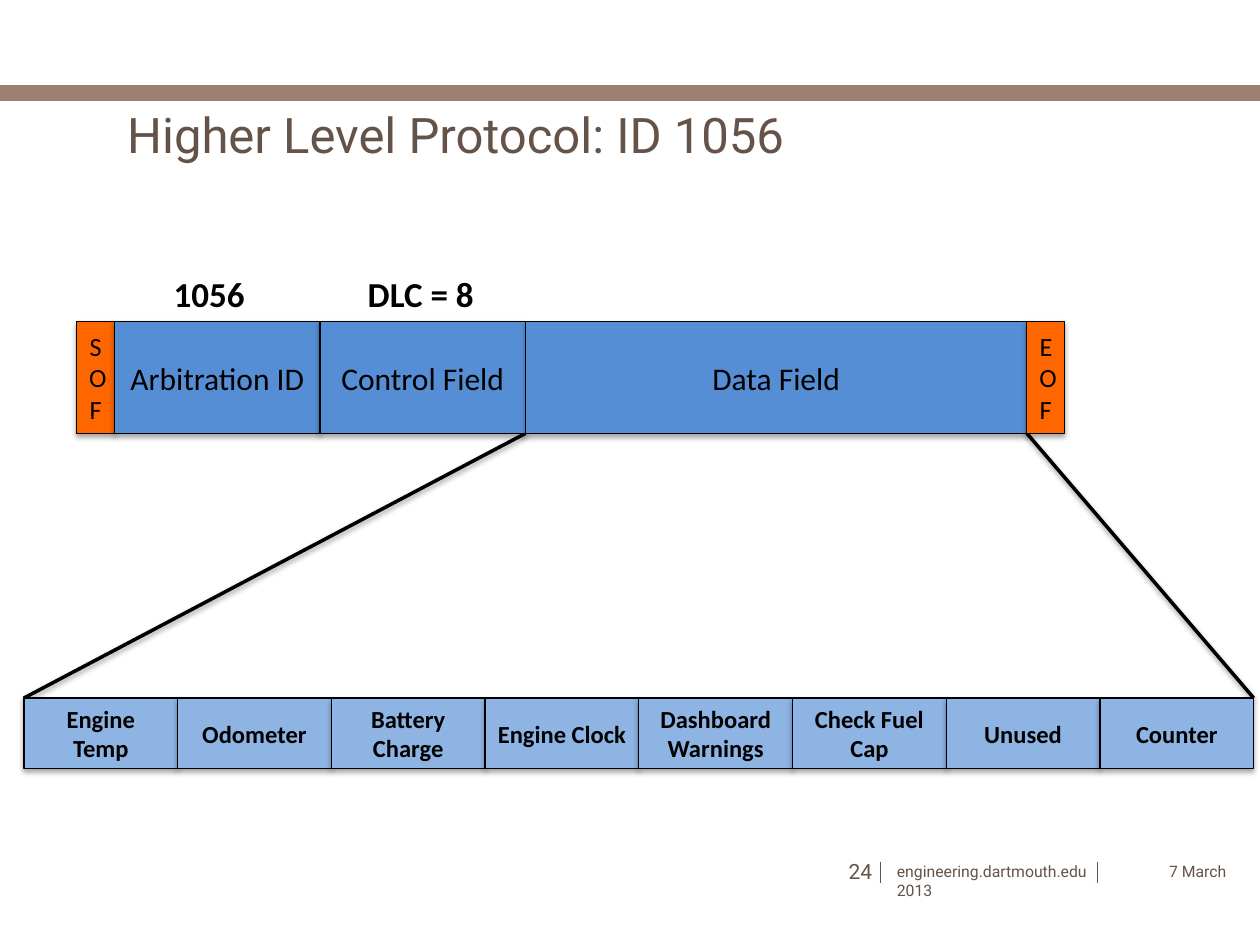
from lxml import etree
from pptx import Presentation
from pptx.dml.color import RGBColor
from pptx.enum.shapes import MSO_CONNECTOR, MSO_SHAPE
from pptx.enum.text import MSO_ANCHOR, PP_ALIGN
from pptx.oxml.ns import qn
from pptx.util import Inches, Pt

LEFT, CENTER, RIGHT = PP_ALIGN.LEFT, PP_ALIGN.CENTER, PP_ALIGN.RIGHT
TOP, MIDDLE = MSO_ANCHOR.TOP, MSO_ANCHOR.MIDDLE
RECT, STRAIGHT = MSO_SHAPE.RECTANGLE, MSO_CONNECTOR.STRAIGHT

BLACK, WHITE, BROWN, BAR = "000000", "FFFFFF", "645348", "9E8070"
ORANGE, BLUE, LIGHT_BLUE = "FF6600", "558ED5", "8EB4E3"


def rgb(value):
    return RGBColor.from_string(value)


def set_effects(sp, color=None, alpha=0, dist=0):
    """Give a finished shape or line a downward shadow, or none without a color."""
    effects = etree.SubElement(sp._element.spPr, qn("a:effectLst"))
    if color:
        shadow = etree.SubElement(
            effects, qn("a:outerShdw"), blurRad=str(Pt(3.1)), dist=str(Pt(dist)),
            dir="5400000", rotWithShape="0")
        clr = etree.SubElement(shadow, qn("a:srgbClr"), val=color)
        etree.SubElement(clr, qn("a:alpha"), val=str(alpha * 1000))


class Deck:
    body_font = "Calibri"
    theme_font = "Roboto"

    def __init__(self, prs):
        self.s = prs.slides.add_slide(prs.slide_layouts[5])

    def set_text(self, sp, text, size, font, color, bold=False, align=LEFT,
                 anchor=TOP, wrap=True):
        tf = sp.text_frame
        tf.word_wrap = wrap
        tf.vertical_anchor = anchor
        p = tf.paragraphs[0]
        p.text = text
        p.alignment = align
        p.font.size = Pt(size)
        p.font.name = font
        p.font.bold = bold
        p.font.color.rgb = rgb(color)
        return p

    def title(self, text, x, y, w, h):
        sp = self.s.shapes.title
        sp.left, sp.top, sp.width, sp.height = map(Inches, (x, y, w, h))
        self.set_text(sp, text, 28, self.theme_font, BROWN, anchor=MIDDLE)

    def text(self, text, x, y, w, h, size, font, color, **style):
        sp = self.s.shapes.add_textbox(*map(Inches, (x, y, w, h)))
        return self.set_text(sp, text, size, font, color, **style)

    def cell(self, text, x, y, w, h, fill, size, bold=False):
        sp = self.s.shapes.add_shape(RECT, *map(Inches, (x, y, w, h)))
        sp.fill.solid()
        sp.fill.fore_color.rgb = rgb(fill)
        sp.line.color.rgb = rgb(BLACK)
        sp.line.width = Pt(0.75)
        set_effects(sp, BLACK, 35, 1.8)
        self.set_text(sp, text, size, self.body_font, BLACK, bold, CENTER, MIDDLE)

    def line(self, x1, y1, x2, y2, color, width, shadow=None):
        sp = self.s.shapes.add_connector(STRAIGHT, *map(Inches, (x1, y1, x2, y2)))
        sp.line.color.rgb = rgb(color)
        sp.line.width = Pt(width)
        set_effects(sp, shadow, 38, 1.6)


def main():
    prs = Presentation()
    prs.slide_width, prs.slide_height = Inches(10), Inches(7.5)
    deck = Deck(prs)

    deck.line(0, 0.74, 10, 0.74, BAR, 9)
    deck.title("Higher Level Protocol: ID 1056", 0.91, 0.75, 7.19, 0.62)

    for label, x, w in (("1056", 1.28, 0.77), ("DLC = 8", 2.82, 1.05)):
        deck.text(label, x, 2.11, w, 0.44, 20, deck.body_font, BLACK,
                  bold=True, wrap=False)

    frame_x, frame_y, frame_h = 0.61, 2.55, 0.89
    byte_x, byte_y, byte_w, byte_h = 0.19, 5.54, 1.22, 0.56
    data_bytes = ["Engine Temp", "Odometer", "Battery Charge", "Engine Clock",
                  "Dashboard Warnings", "Check Fuel Cap", "Unused", "Counter"]
    frame = [("SOF", 0.3, ORANGE, 15), ("Arbitration ID", 1.63, BLUE, 18),
             ("Control Field", 1.63, BLUE, 18), ("Data Field", 3.98, BLUE, 18),
             ("EOF", 0.3, ORANGE, 15)]

    # The data field widens into its eight bytes
    data_left = frame_x + sum(w for _, w, _, _ in frame[:3])
    data_right = data_left + frame[3][1]
    bytes_right = byte_x + byte_w * len(data_bytes)
    for x1, x2 in ((data_left, byte_x), (data_right, bytes_right)):
        deck.line(x1, frame_y + frame_h, x2, byte_y, BLACK, 2, BLACK)

    for i, name in enumerate(data_bytes):
        deck.cell(name, byte_x + i * byte_w, byte_y, byte_w, byte_h,
                  LIGHT_BLUE, 14, bold=True)

    x = frame_x
    for name, w, fill, size in frame:
        deck.cell(name, x, frame_y, w, frame_h, fill, size)
        x += w

    for x in (6.99, 8.71):
        deck.line(x, 6.84, x, 7.01, BROWN, 0.25, WHITE)
    deck.text("24", 6.52, 6.8, 0.5, 0.23, 12, deck.theme_font, BROWN,
              align=RIGHT, anchor=MIDDLE)
    p = deck.text("engineering.dartmouth.edu\t7 March 2013", 7.02, 6.79, 3.03,
                  0.25, 9, deck.theme_font, BROWN)
    tabs = etree.Element(qn("a:tabLst"))
    etree.SubElement(tabs, qn("a:tab"), pos=str(Inches(2.16)), algn="l")
    p._p.get_or_add_pPr().insert(0, tabs)

    prs.save("out.pptx")


if __name__ == "__main__":
    main()
